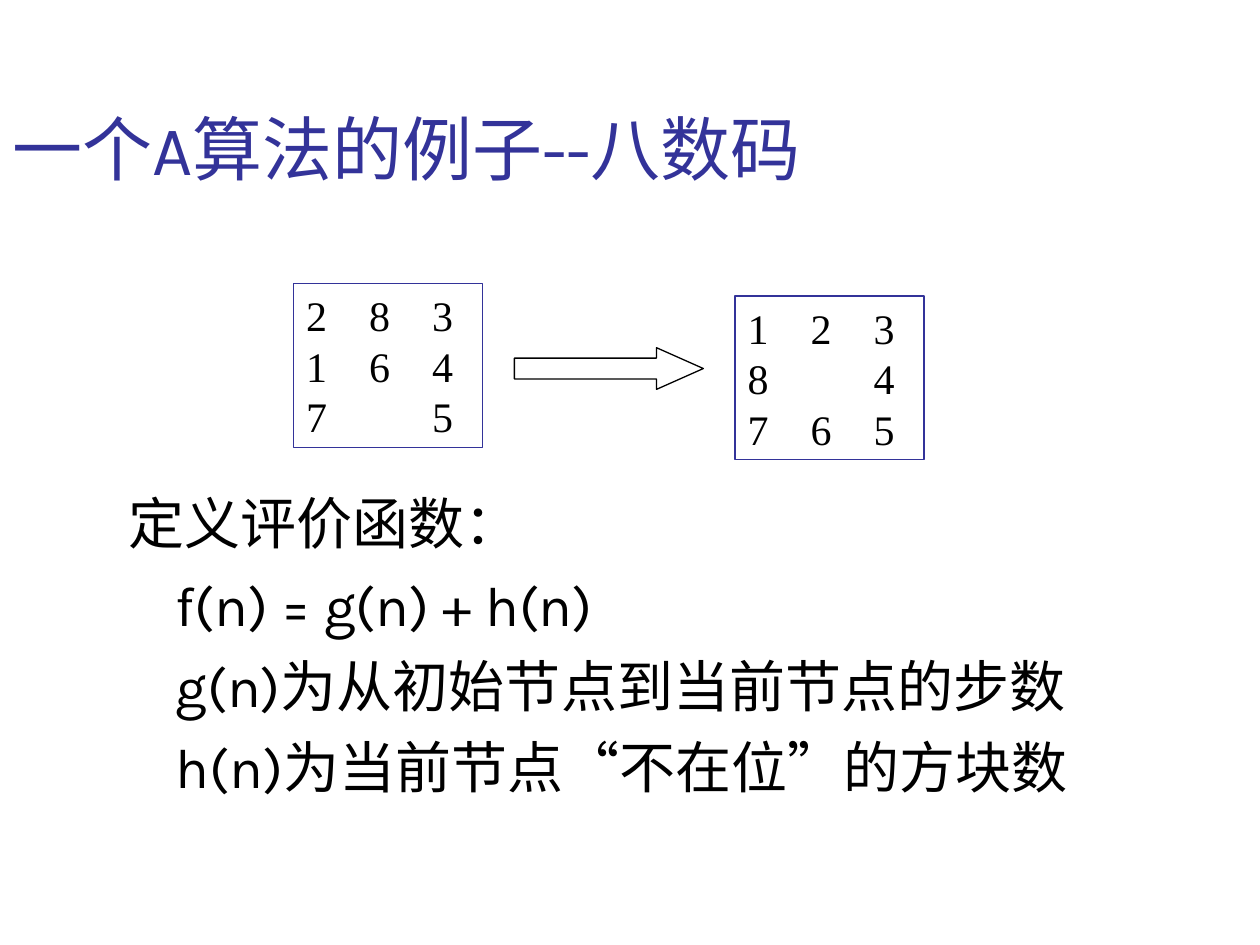
from lxml.etree import SubElement
from pptx import Presentation
from pptx.dml.color import RGBColor
from pptx.enum.shapes import MSO_SHAPE
from pptx.enum.text import MSO_ANCHOR, PP_ALIGN
from pptx.oxml.ns import qn
from pptx.util import Cm, Pt

INK, BLUE = "000000", "333399"
BOARD_W, BOARD_H = 3.81, 3.3
TILE_PITCH = 1.27


def rgb(value):
    return RGBColor.from_string(value)


def add_tab_stops(p, positions):
    tabs = SubElement(p._p.get_or_add_pPr(), qn("a:tabLst"))
    for pos in positions:
        SubElement(tabs, qn("a:tab"), pos=str(Cm(pos)), algn="l")


class SlideBuilder:
    heading_font = "Karla"
    board_font = "Times New Roman"

    def __init__(self, slide):
        self.slide = slide

    def fill_text(self, sp, lines, font, size, color, anchor):
        """Set the lines of a shape, format them and return the paragraphs."""
        tf = sp.text_frame
        tf.word_wrap = True
        tf.vertical_anchor = anchor
        tf.text = "\n".join(lines)
        for p in tf.paragraphs:
            p.alignment = PP_ALIGN.LEFT
            for r in p.runs:
                r.font.name = font
                r.font.size = Pt(size)
                r.font.color.rgb = rgb(color)
        return tf.paragraphs

    def text(self, box, lines, size, color, anchor=MSO_ANCHOR.TOP):
        sp = self.slide.shapes.add_textbox(*map(Cm, box))
        return self.fill_text(sp, lines, self.heading_font, size, color, anchor)

    def outline(self, kind, box, color):
        """Add an unfilled preset shape with a thin line."""
        sp = self.slide.shapes.add_shape(kind, *map(Cm, box))
        sp.shadow.inherit = False
        sp.fill.background()
        sp.line.color.rgb = rgb(color)
        sp.line.width = Pt(0.75)
        return sp

    def board(self, left, top, rows):
        """Add a puzzle state; a dot in a row is the empty square."""
        sp = self.outline(MSO_SHAPE.RECTANGLE, (left, top, BOARD_W, BOARD_H), BLUE)
        lines = ["\t".join(row).replace(".", "") for row in rows]
        for p in self.fill_text(sp, lines, self.board_font, 24, INK, MSO_ANCHOR.MIDDLE):
            add_tab_stops(p, [TILE_PITCH, 2 * TILE_PITCH])

    def arrow(self, box):
        sp = self.outline(MSO_SHAPE.RIGHT_ARROW, box, INK)
        sp.adjustments[0] = 0.5
        sp.adjustments[1] = 1.125

    def definitions(self, box, lines):
        """Add a lead line with the remaining lines indented below it."""
        paragraphs = self.text(box, lines, 32, INK)
        for i, p in enumerate(paragraphs):
            p.space_before = Pt(8)
            if i:
                p._p.get_or_add_pPr().set("marL", str(Cm(0.95)))


def main():
    prs = Presentation()
    prs.slide_width, prs.slide_height = Cm(25.4), Cm(19.05)
    s = SlideBuilder(prs.slides.add_slide(prs.slide_layouts[6]))

    s.text((0, 0.76, 24.13, 3.18), ["一个A算法的例子--八数码"], 40, BLUE,
           MSO_ANCHOR.BOTTOM)
    s.definitions((2.34, 9.73, 21.59, 8.46), [
        "定义评价函数：",
        "f(n) = g(n) + h(n)",
        "g(n)为从初始节点到当前节点的步数",
        "h(n)为当前节点“不在位”的方块数",
    ])
    s.board(5.92, 5.72, ["283", "164", "7.5"])
    s.board(14.82, 5.97, ["123", "8.4", "765"])
    s.arrow((10.37, 7.01, BOARD_W, 0.84))

    prs.save("out.pptx")


if __name__ == "__main__":
    main()
